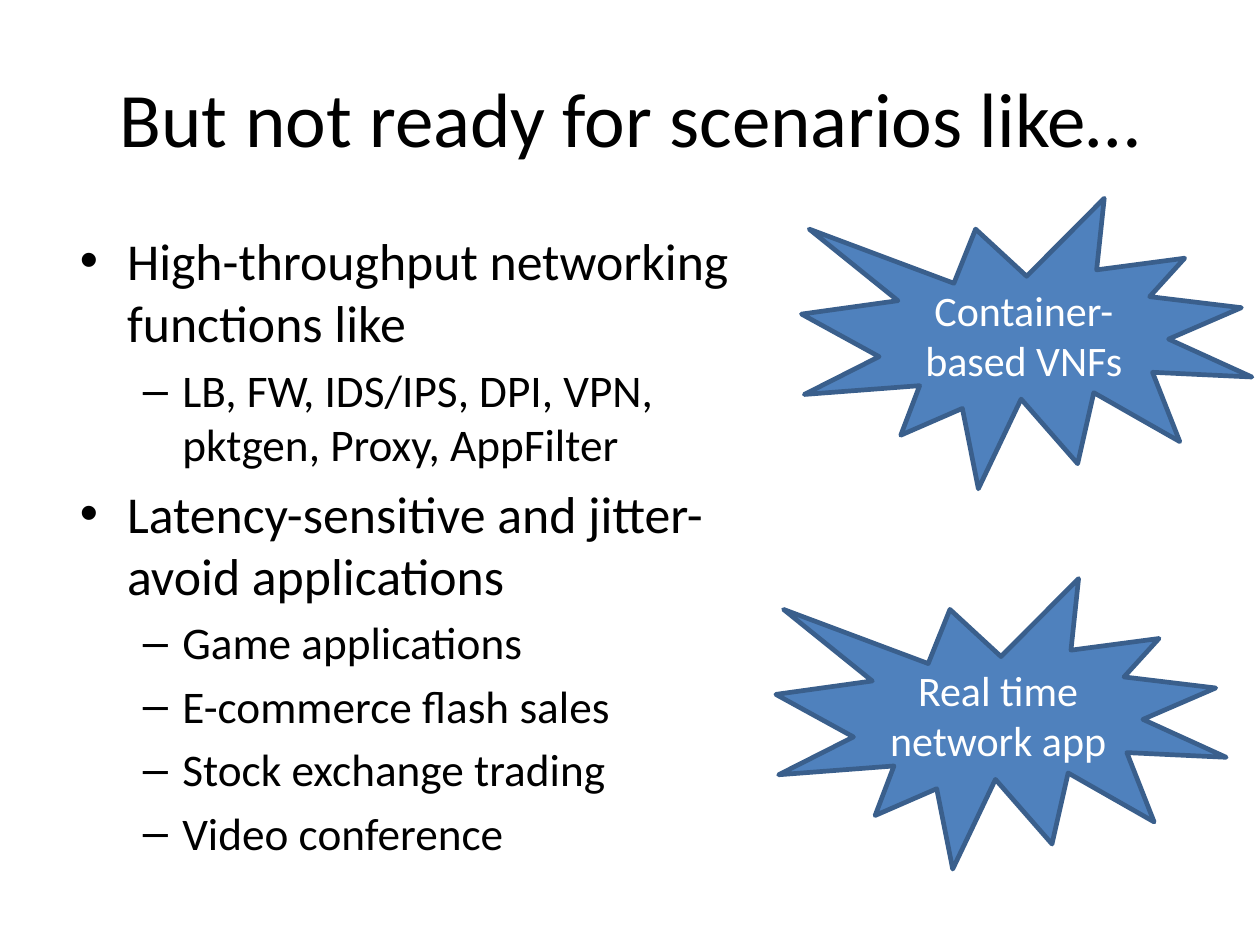
from pptx import Presentation
from pptx.dml.color import RGBColor
from pptx.enum.shapes import MSO_SHAPE
from pptx.enum.text import MSO_ANCHOR, MSO_AUTO_SIZE, PP_ALIGN
from pptx.util import Pt

BLACK = RGBColor(0x00, 0x00, 0x00)
WHITE = RGBColor(0xFF, 0xFF, 0xFF)
BLUE = RGBColor(0x4F, 0x81, 0xBD)
DARK_BLUE = RGBColor(0x3A, 0x5F, 0x8C)

SCENARIOS = [
    (0, "High-throughput networking functions like"),
    (1, "LB, FW, IDS/IPS, DPI, VPN, pktgen, Proxy, AppFilter"),
    (0, "Latency-sensitive and jitter-avoid applications"),
    (1, "Game applications"),
    (1, "E-commerce flash sales"),
    (1, "Stock exchange trading"),
    (1, "Video conference"),
]
LEVELS = [(22.2, 20.25, -20.25), (19.4, 43.9, -16.9)]
BURSTS = [
    ("Container-based VNFs", 343.5, 85),
    ("Real time network app", 332.5, 248),
]


def place(sp, left, top, width, height):
    sp.left, sp.top, sp.width, sp.height = Pt(left), Pt(top), Pt(width), Pt(height)


def style(p, size, color):
    for r in p.runs:
        r.font.name = "Calibri"
        r.font.size = Pt(size)
        r.font.color.rgb = color


prs = Presentation()
prs.slide_width, prs.slide_height = Pt(540), Pt(405)
s = prs.slides.add_slide(prs.slide_layouts[1])

title = s.shapes.title
place(title, 27, 16.25, 486, 67.5)
tf = title.text_frame
tf.text = "But not ready for scenarios like…"
tf.auto_size = MSO_AUTO_SIZE.NONE
tf.vertical_anchor = MSO_ANCHOR.MIDDLE
tf.paragraphs[0].alignment = PP_ALIGN.CENTER
style(tf.paragraphs[0], 33, BLACK)

body = s.placeholders[1]
place(body, 27, 94.5, 317, 267)
tf = body.text_frame
tf.text = "\n".join(text for _, text in SCENARIOS)
tf.auto_size = MSO_AUTO_SIZE.NONE
for p, (level, _) in zip(tf.paragraphs, SCENARIOS):
    size, margin, indent = LEVELS[level]
    p.level = level
    pPr = p._p.get_or_add_pPr()
    pPr.set("marL", str(Pt(margin)))
    pPr.set("indent", str(Pt(indent)))
    style(p, size, BLACK)

for text, left, top in BURSTS:
    sp = s.shapes.add_shape(MSO_SHAPE.EXPLOSION1, Pt(left), Pt(top), Pt(193), Pt(124.5))
    sp.shadow.inherit = False
    sp.fill.solid()
    sp.fill.fore_color.rgb = BLUE
    sp.line.color.rgb = DARK_BLUE
    sp.line.width = Pt(2)
    tf = sp.text_frame
    tf.text = text
    tf.word_wrap = True
    tf.vertical_anchor = MSO_ANCHOR.MIDDLE
    tf.paragraphs[0].alignment = PP_ALIGN.CENTER
    style(tf.paragraphs[0], 18, WHITE)

prs.save("out.pptx")
